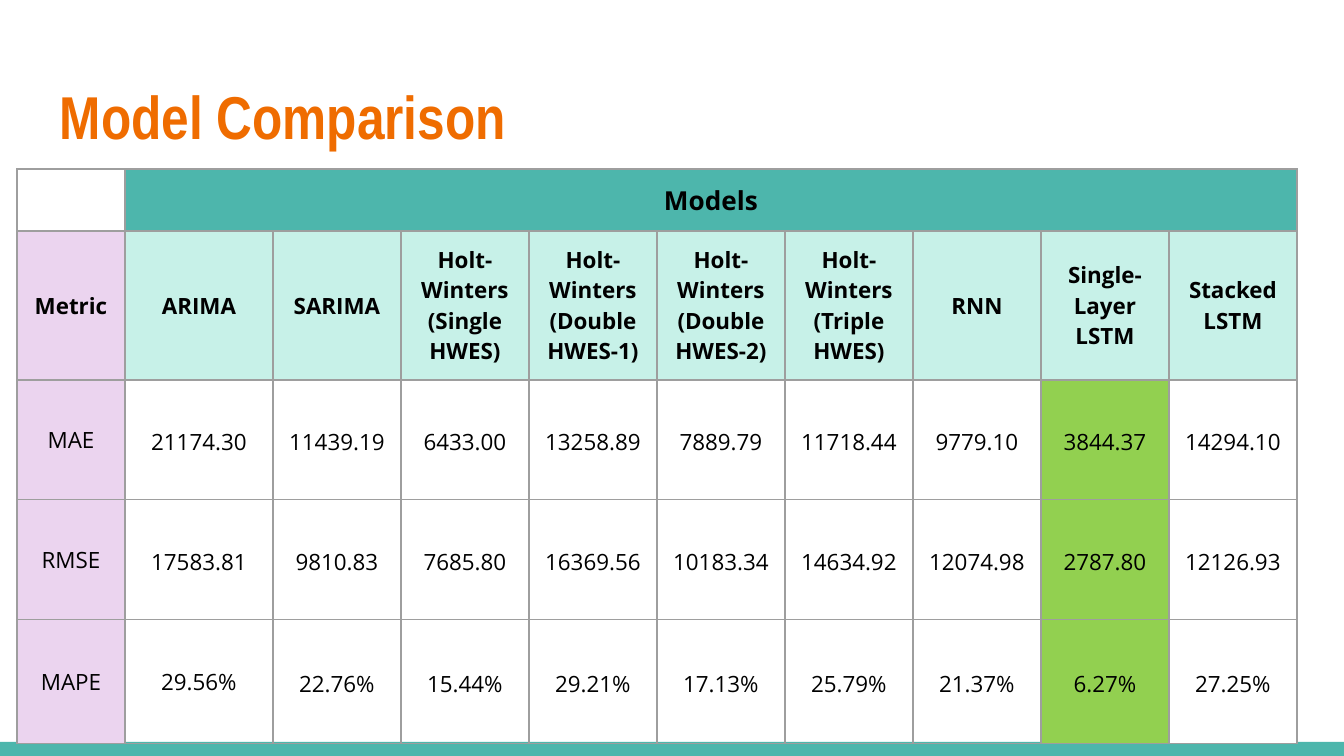
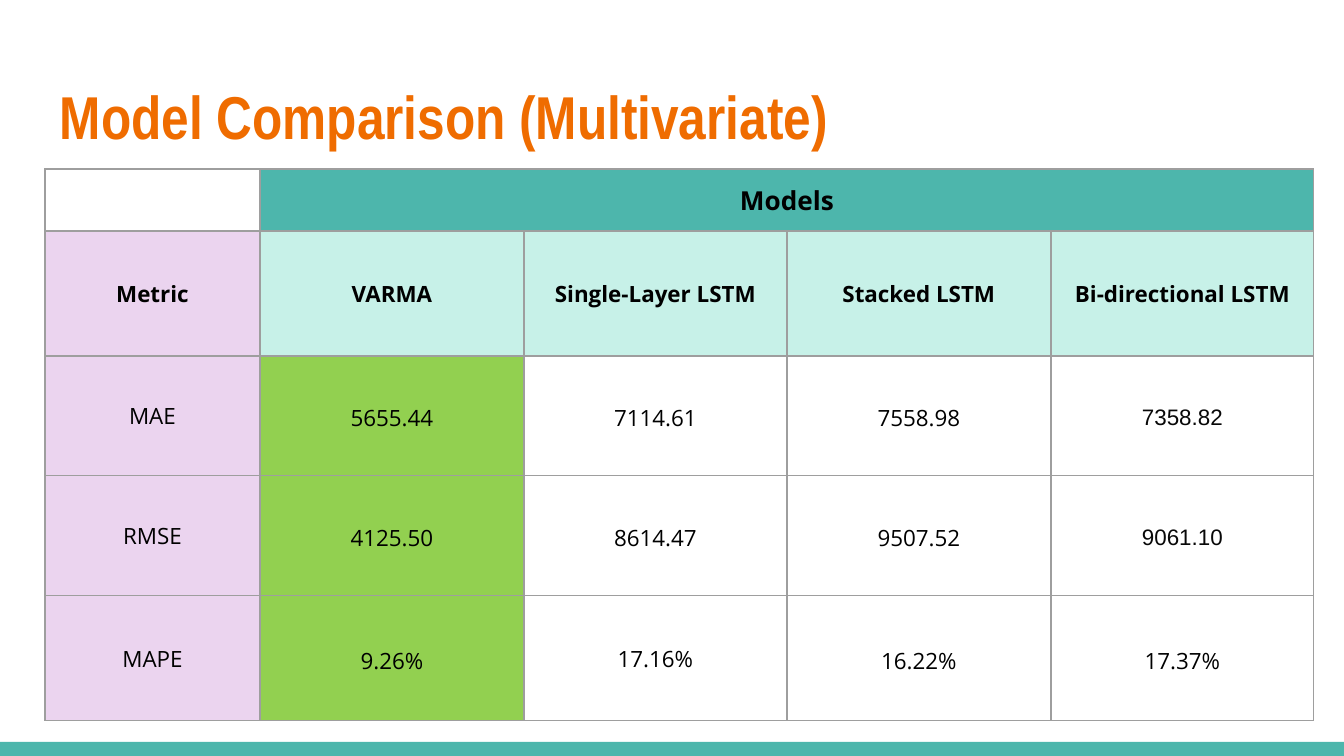
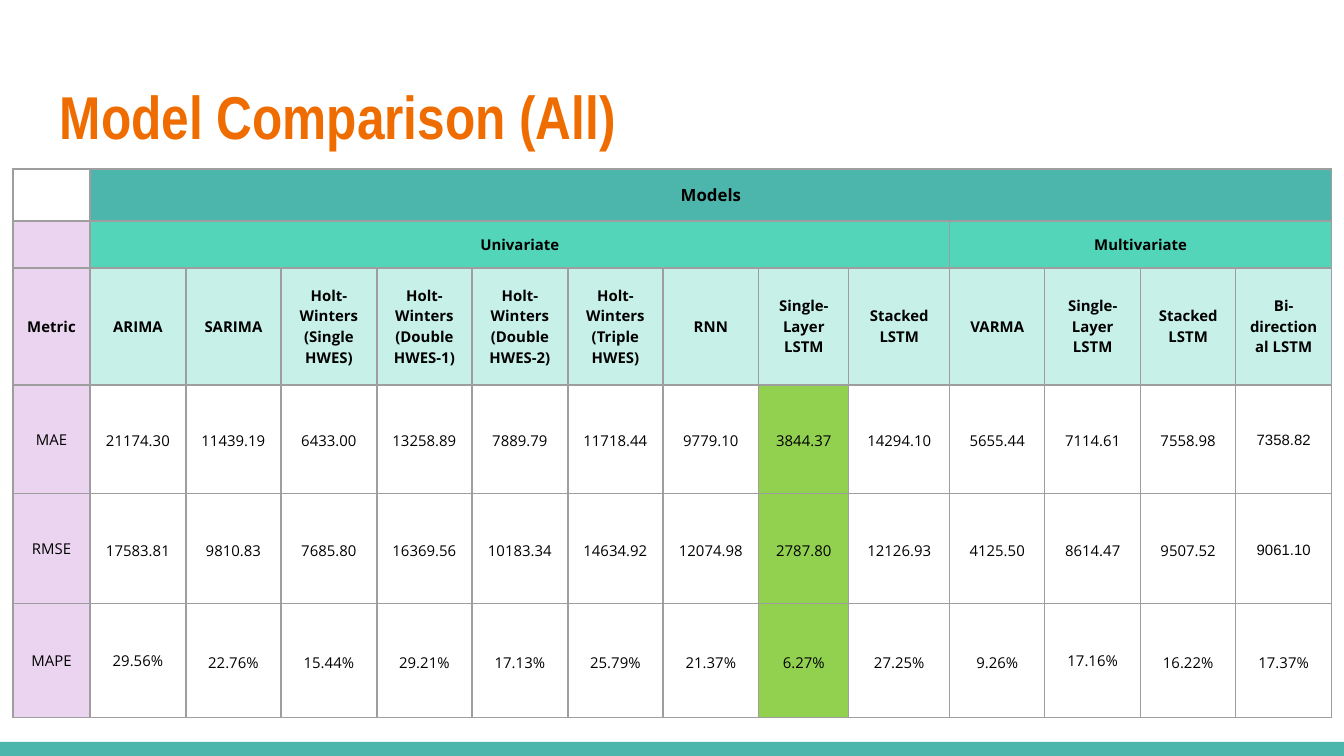
from pptx import Presentation
from pptx.dml.color import RGBColor as RGB
from pptx.enum.shapes import MSO_SHAPE as Shape
from pptx.enum.text import MSO_ANCHOR as Anchor, PP_ALIGN as Align
from pptx.oxml import parse_xml
from pptx.oxml.ns import nsdecls
from pptx.util import Pt

PX = 914400 / 134.4
HUES = {
    "teal": "4DB6AC", "mint": "52D5B9", "pale": "C7F1E8", "lilac": "EBD4EF",
    "green": "92D050", "white": "FFFFFF", "orange": "EF6C00",
    "black": "000000", "ink": "080808", "gray": "9E9E9E",
}
METRICS = ["MAE", "RMSE", "MAPE"]
SINGLE = [
    ("ARIMA", "21174.30", "17583.81", "29.56%"),
    ("SARIMA", "11439.19", "9810.83", "22.76%"),
    ("Holt-Winters (Single HWES)", "6433.00", "7685.80", "15.44%"),
    ("Holt-Winters (Double HWES-1)", "13258.89", "16369.56", "29.21%"),
    ("Holt-Winters (Double HWES-2)", "7889.79", "10183.34", "17.13%"),
    ("Holt-Winters (Triple HWES)", "11718.44", "14634.92", "25.79%"),
    ("RNN", "9779.10", "12074.98", "21.37%"),
    ("Single-Layer LSTM", "3844.37", "2787.80", "6.27%"),
    ("Stacked LSTM", "14294.10", "12126.93", "27.25%"),
]
MULTI = [
    ("VARMA", "5655.44", "4125.50", "9.26%"),
    ("Single-Layer LSTM", "7114.61", "8614.47", "17.16%"),
    ("Stacked LSTM", "7558.98", "9507.52", "16.22%"),
    ("Bi-directional LSTM", "7358.82", "9061.10", "17.37%"),
]
TIGHT = ("(Double HWES-1)", "(Double HWES-2)", "(Triple HWES)")
PLAIN = ("29.56%", "17.16%")
ARIAL = ("7358.82", "9061.10")


def px(size):
    return round(size * PX)


def hue(name):
    return RGB.from_string(HUES[name])


def put(frame, text, size=12, font="Open Sans", color="black", bold=False,
        align=Align.CENTER, space=None):
    para = frame.paragraphs[0]
    para.alignment = align
    if space:
        para.line_spacing = space
    run = para.add_run()
    run.text = text
    run.font.size = Pt(size)
    run.font.name = font
    run.font.bold = bold
    run.font.color.rgb = hue(color)


class Deck:
    def __init__(self):
        self.prs = Presentation()
        self.prs.slide_width = px(1344)
        self.prs.slide_height = px(756)
        self.slide = None

    def page(self, title):
        self.slide = self.prs.slides.add_slide(self.prs.slide_layouts[6])
        self.band()
        self.title(title)

    def band(self):
        bar = self.slide.shapes.add_shape(Shape.RECTANGLE, 0, px(742), px(1344), px(14))
        bar.shadow.inherit = False
        bar.fill.solid()
        bar.fill.fore_color.rgb = hue("teal")
        bar.line.fill.background()

    def title(self, text):
        box = self.slide.shapes.add_textbox(px(47), px(64), px(1253), px(103))
        frame = box.text_frame
        frame.word_wrap = True
        frame.vertical_anchor = Anchor.MIDDLE
        frame.margin_left = frame.margin_right = px(13)
        frame.margin_top = frame.margin_bottom = px(13)
        put(frame, text, size=32.4, font="Arial Narrow", color="orange",
            bold=True, align=Align.LEFT)

    def grid(self, left, cols, rows):
        frame = self.slide.shapes.add_table(
            len(rows), len(cols), px(left), px(169), px(sum(cols)), px(sum(rows)))
        table = frame.table
        table.first_row = table.horz_banding = False
        for col, width in zip(table.columns, cols):
            col.width = px(width)
        for row, height in zip(table.rows, rows):
            row.height = px(height)
        for cell in table.iter_cells():
            cell.fill.background()
            cell.margin_top = cell.margin_bottom = 0
            self.edge(cell)
        return table

    def edge(self, cell):
        props = cell._tc.get_or_add_tcPr()
        for spot, side in enumerate("LRTB"):
            props.insert(spot, parse_xml(
                f'<a:ln{side} {nsdecls("a")} w="9525"><a:solidFill>'
                f'<a:srgbClr val="{HUES["gray"]}"/></a:solidFill></a:ln{side}>'))

    def cell(self, cell, text, fill=None, tight=False, **look):
        cell.vertical_anchor = Anchor.MIDDLE
        cell.margin_left = cell.margin_right = px(10 if tight else 13)
        cell.margin_top = cell.margin_bottom = px(0 if tight else 13)
        if fill:
            cell.fill.solid()
            cell.fill.fore_color.rgb = hue(fill)
        put(cell.text_frame, text, **look)

    def span(self, table, row, first, last, text, fill, size):
        table.cell(row, first).merge(table.cell(row, last))
        self.cell(table.cell(row, first), text, fill, size=size, bold=True)

    def scores(self, table, top, models, white, size):
        self.cell(table.cell(top, 0), "Metric", "lilac", size=size, bold=True)
        for step, name in enumerate(METRICS, 1):
            self.cell(table.cell(top + step, 0), name, "lilac", size=size)
        best = min(models, key=lambda model: float(model[1]))
        for col, model in enumerate(models, 1):
            tight = model[0].endswith(TIGHT)
            self.cell(table.cell(top, col), model[0], "pale", tight, size=size, bold=True)
            for step, value in enumerate(model[1:], 1):
                fill = "white" if col >= white[step - 1] else None
                if model is best:
                    fill = "green"
                odd = value in ARIAL
                self.cell(table.cell(top + step, col), value, fill, tight, size=size,
                          font="Arial" if odd else "Open Sans",
                          color="ink" if odd else "black",
                          space=None if value in PLAIN else 1.15)


def main():
    deck = Deck()
    for title, left, cols, rows, models, white in [
        ("Model Comparison", 17, [108, 148] + [128] * 8,
         [62, 149, 120, 120, 124], SINGLE, (9, 3, 9)),
        ("Model Comparison (Multivariate)", 45, [215] + [264, 263] * 2,
         [62, 125, 120, 120, 125], MULTI, (5, 2, 5)),
    ]:
        deck.page(title)
        table = deck.grid(left, cols, rows)
        deck.span(table, 0, 1, len(models), "Models", "teal", 14)
        deck.scores(table, 1, models, white, 12)

    deck.page("Model Comparison (All)")
    cols = [77] + [96 - col % 2 for col in range(7)] + [90, 101]
    cols += [95 + col % 2 for col in range(4)]
    table = deck.grid(13, cols, [52, 47, 117, 109, 110, 114])
    split, last = len(SINGLE), len(SINGLE + MULTI)
    deck.span(table, 0, 1, last, "Models", "teal", 9)
    table.cell(1, 0).fill.solid()
    table.cell(1, 0).fill.fore_color.rgb = hue("lilac")
    deck.span(table, 1, 1, split, "Univariate", "mint", 8)
    deck.span(table, 1, split + 1, last, "Multivariate", "mint", 8)
    deck.scores(table, 2, SINGLE + MULTI, (14, 11, 14), 8)

    deck.prs.save("out.pptx")


if __name__ == "__main__":
    main()
